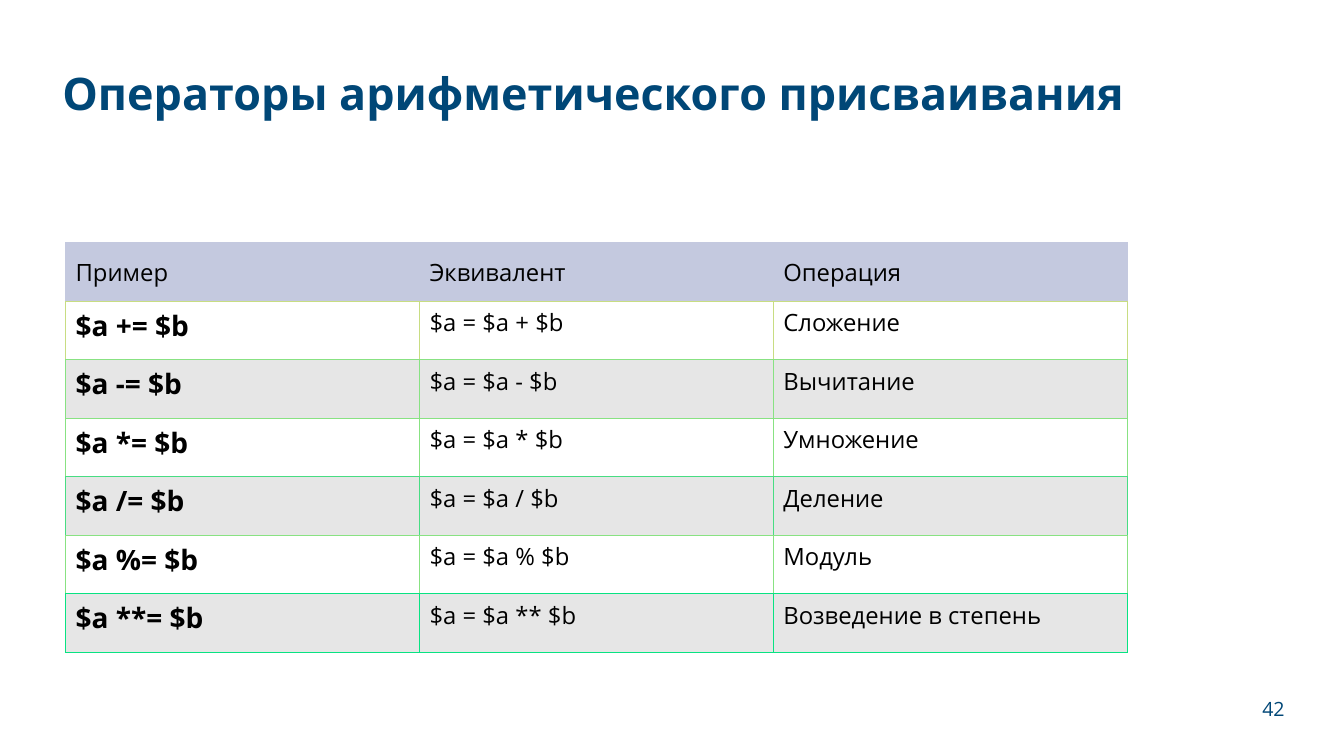
from dataclasses import dataclass

from lxml.etree import SubElement
from pptx import Presentation
from pptx.dml.color import RGBColor
from pptx.enum.text import MSO_ANCHOR, PP_ALIGN
from pptx.oxml.ns import qn
from pptx.slide import Slide
from pptx.table import _Cell
from pptx.text.text import TextFrame
from pptx.util import Inches, Pt

FONT = "Open Sans"
NAVY, BLACK, WHITE, GRAY, LAVENDER = "004777", "000000", "FFFFFF", "E6E6E6", "C4C9DF"
COL_WIDTH, ROW_HEIGHT = 3.51, 0.58


@dataclass
class OperatorRow:
    example: str
    equivalent: str
    operation: str
    border: str


HEADER = OperatorRow("Пример", "Эквивалент", "Операция", LAVENDER)
ROWS = [
    HEADER,
    OperatorRow("$a += $b", "$a = $a + $b", "Сложение", "C8DD82"),
    OperatorRow("$a -= $b", "$a = $a - $b", "Вычитание", "88E282"),
    OperatorRow("$a *= $b", "$a = $a * $b", "Умножение", "88E282"),
    OperatorRow("$a /= $b", "$a = $a / $b", "Деление", "48DD82"),
    OperatorRow("$a %= $b", "$a = $a % $b", "Модуль", "88E282"),
    OperatorRow("$a **= $b", "$a = $a ** $b", "Возведение в степень", "08E382"),
]


def rgb(color: str) -> RGBColor:
    return RGBColor.from_string(color)


def write(tf: TextFrame, text: str, *, size: float, color: str = BLACK,
          bold: bool = False, align: PP_ALIGN = PP_ALIGN.LEFT,
          spacing: float = 1.0) -> None:
    p = tf.paragraphs[0]
    p.alignment, p.line_spacing = align, spacing
    r = p.add_run()
    r.text = text
    r.font.name, r.font.size, r.font.bold = FONT, Pt(size), bold
    r.font.color.rgb = rgb(color)


def add_text(s: Slide, left: float, top: float, width: float, height: float,
             text: str, **style) -> None:
    sp = s.shapes.add_textbox(Inches(left), Inches(top), Inches(width), Inches(height))
    tf = sp.text_frame
    tf.word_wrap = True
    tf.vertical_anchor = MSO_ANCHOR.MIDDLE
    write(tf, text, **style)


def paint_cell(cell: _Cell, fill: str, border: str, bottom: str) -> None:
    # Borders precede the fill in the cell properties
    props = cell._tc.get_or_add_tcPr()
    for side, color in (("L", border), ("R", border), ("T", border), ("B", bottom)):
        line = SubElement(props, qn(f"a:ln{side}"), w=str(Pt(0.75)))
        solid = SubElement(line, qn("a:solidFill"))
        SubElement(solid, qn("a:srgbClr"), val=color)
    cell.fill.solid()
    cell.fill.fore_color.rgb = rgb(fill)


def add_operator_table(s: Slide, left: float, top: float) -> None:
    sp = s.shapes.add_table(len(ROWS), 3, Inches(left), Inches(top),
                            Inches(3 * COL_WIDTH), Inches(len(ROWS) * ROW_HEIGHT))
    table = sp.table
    for column in table.columns:
        column.width = Inches(COL_WIDTH)
    # Each row's lower border takes the colour of the row below
    for i, (row, below) in enumerate(zip(ROWS, ROWS[1:] + ROWS[-1:])):
        table.rows[i].height = Inches(ROW_HEIGHT)
        is_header = row is HEADER
        fill = LAVENDER if is_header else (WHITE if i % 2 else GRAY)
        for j, text in enumerate((row.example, row.equivalent, row.operation)):
            cell = table.cell(i, j)
            paint_cell(cell, fill, row.border, below.border)
            cell.vertical_anchor = MSO_ANCHOR.MIDDLE if is_header else MSO_ANCHOR.TOP
            is_example = j == 0 and not is_header
            write(cell.text_frame, text, size=20 if is_example else 17, bold=is_example)


def main() -> None:
    prs = Presentation()
    prs.slide_width, prs.slide_height = Inches(13.33), Inches(7.5)
    s = prs.slides.add_slide(prs.slide_layouts[6])

    # Title
    add_text(s, 0.52, 0.26, 10.85, 1.38, "Операторы арифметического присваивания",
             size=32, color=NAVY, bold=True, spacing=0.9)
    # Operators
    add_operator_table(s, 0.65, 2.41)
    # Slide number
    add_text(s, 12.05, 6.84, 0.79, 0.39, "42", size=14, color=NAVY, align=PP_ALIGN.RIGHT)

    prs.save("out.pptx")


if __name__ == "__main__":
    main()
